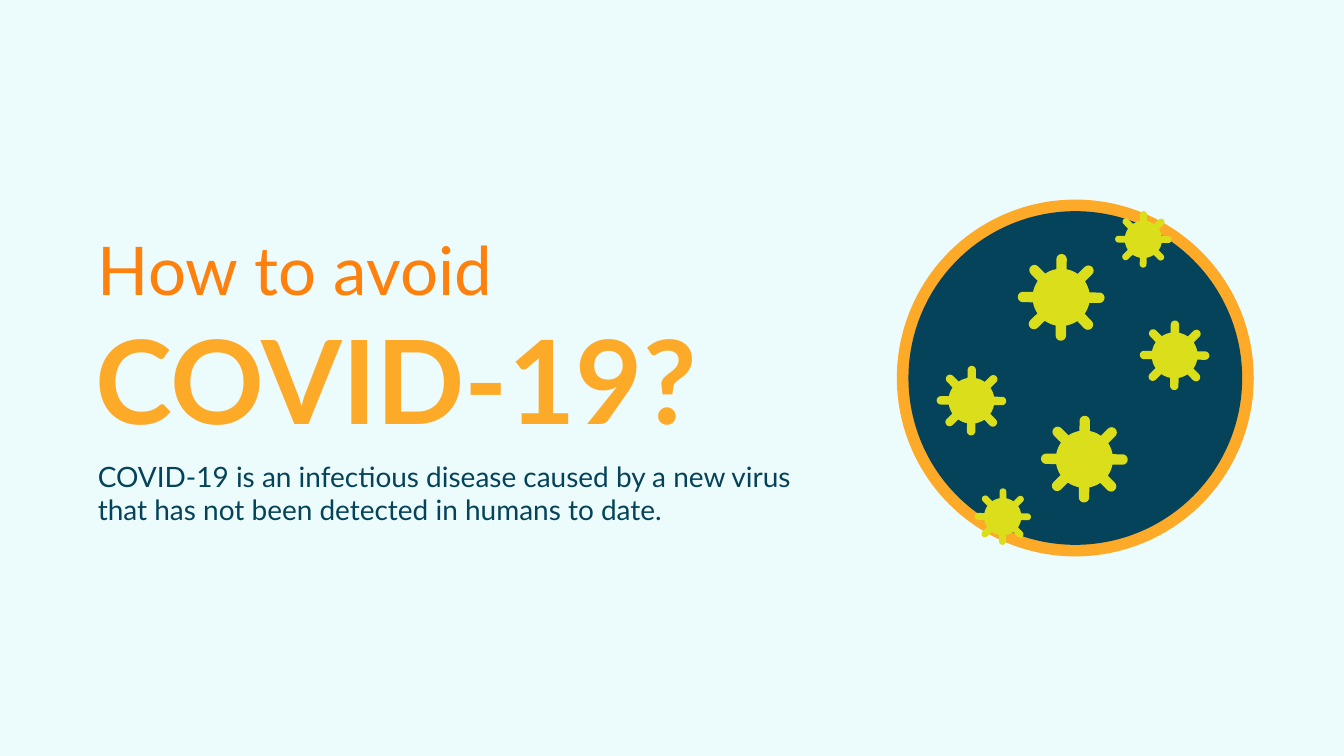
from math import asin, cos, pi, sin

from pptx import Presentation
from pptx.dml.color import RGBColor
from pptx.enum.shapes import MSO_SHAPE
from pptx.enum.text import MSO_ANCHOR, MSO_AUTO_SIZE, PP_ALIGN
from pptx.util import Inches, Pt

OVAL = MSO_SHAPE.OVAL
TOP = MSO_ANCHOR.TOP
GROW = MSO_AUTO_SIZE.SHAPE_TO_FIT_TEXT
LEFT = PP_ALIGN.LEFT

MINT = RGBColor(0xEC, 0xFB, 0xFB)
ORANGE = RGBColor(0xFE, 0x81, 0x0D)
AMBER = RGBColor(0xFD, 0xAA, 0x29)
NAVY = RGBColor(0x05, 0x43, 0x5B)
LIME = RGBColor(0xDB, 0xDF, 0x1B)

SPIKES = 8
BODY_RATIO = 0.66
SPIKE_RATIO = 0.12
CAP_STEPS = 8
ARC_STEPS = 5
TILT = 0.01
VIRUSES = [
    (21.51, 9.11, 0.86),
    (23.3, 7.05, 0.69),
    (22.68, 4.75, 0.56),
    (21.05, 5.9, 0.86),
    (19.27, 7.95, 0.69),
    (19.89, 10.25, 0.56),
]


def set_format(target, values):
    """Set every attribute named in a dict of format values."""
    for name, value in values.items():
        setattr(target, name, value)


def paint(shape, color):
    """Give a shape a flat fill without line or shadow."""
    shape.fill.solid()
    shape.fill.fore_color.rgb = color
    shape.line.fill.background()
    shape.shadow.inherit = False


def write_text(shape, text, box, color, wrap, font):
    """Place a text shape in its box and write one formatted paragraph."""
    left, top, width, height = (Inches(value) for value in box)
    set_format(shape, {"left": left, "top": top, "width": width, "height": height})
    frame = shape.text_frame
    frame.text = text
    set_format(frame, {"word_wrap": wrap, "auto_size": GROW, "vertical_anchor": TOP})
    paragraph = frame.paragraphs[0]
    set_format(paragraph, {"alignment": LEFT, "space_before": Pt(0)})
    set_format(paragraph.font, {"name": "Lato", **font})
    paragraph.font.color.rgb = color


def add_heading(slide, left, top):
    """Place the lead-in, title and description from a top left corner."""
    lead = slide.shapes.add_textbox(0, 0, 0, 0)
    write_text(lead, "How to avoid", (left, top, 8.22, 1.72), ORANGE, False,
               {"size": Pt(96), "bold": False})
    write_text(slide.shapes.title, "COVID-19?", (left - 0.05, top + 1.58, 12.39, 2.89),
               AMBER, False, {"size": Pt(166), "bold": True})
    write_text(slide.placeholders[1],
               "COVID-19 is an infectious disease caused by a new virus "
               "that has not been detected in humans to date.",
               (left, top + 4.57, 14.59, 1.45), NAVY, True,
               {"size": Pt(40), "bold": False})


def add_disc(slide, center_x, center_y, radius, color):
    """Draw a filled circle around a center."""
    disc = slide.shapes.add_shape(OVAL, Inches(center_x - radius), Inches(center_y - radius),
                                  Inches(2 * radius), Inches(2 * radius))
    paint(disc, color)


def virus_outline():
    """Return the outline of a virus of radius one, spike by spike."""
    points = []
    step = 2 * pi / SPIKES
    root = asin(SPIKE_RATIO / BODY_RATIO)
    for spike in range(SPIKES):
        angle = spike * step + TILT
        cap_center = 1 - SPIKE_RATIO
        for index in range(CAP_STEPS + 1):
            turn = angle - pi / 2 + pi * index / CAP_STEPS
            points.append((cap_center * cos(angle) + SPIKE_RATIO * cos(turn),
                           cap_center * sin(angle) + SPIKE_RATIO * sin(turn)))
        for index in range(ARC_STEPS + 1):
            turn = angle + root + (step - 2 * root) * index / ARC_STEPS
            points.append((BODY_RATIO * cos(turn), BODY_RATIO * sin(turn)))
    return points


def add_virus(slide, center_x, center_y, radius):
    """Draw a round virus with spikes around a center."""
    points = [(Inches(center_x + radius * x), Inches(center_y + radius * y))
              for x, y in virus_outline()]
    builder = slide.shapes.build_freeform(*points[0])
    builder.add_line_segments(points[1:], close=True)
    paint(builder.convert_to_shape(), LIME)


def add_dish(slide, center_x, center_y):
    """Draw the ringed dish and the viruses on it."""
    add_disc(slide, center_x, center_y, 3.54, AMBER)
    add_disc(slide, center_x, center_y, 3.31, NAVY)
    for virus in VIRUSES:
        add_virus(slide, *virus)


def main():
    """Build the slide and save it."""
    presentation = Presentation()
    set_format(presentation, {"slide_width": Inches(26.66), "slide_height": Inches(15)})
    slide = presentation.slides.add_slide(presentation.slide_layouts[0])
    slide.background.fill.solid()
    slide.background.fill.fore_color.rgb = MINT
    add_heading(slide, 1.84, 4.49)
    add_dish(slide, 21.33, 7.5)
    presentation.save("out.pptx")


if __name__ == "__main__":
    main()
